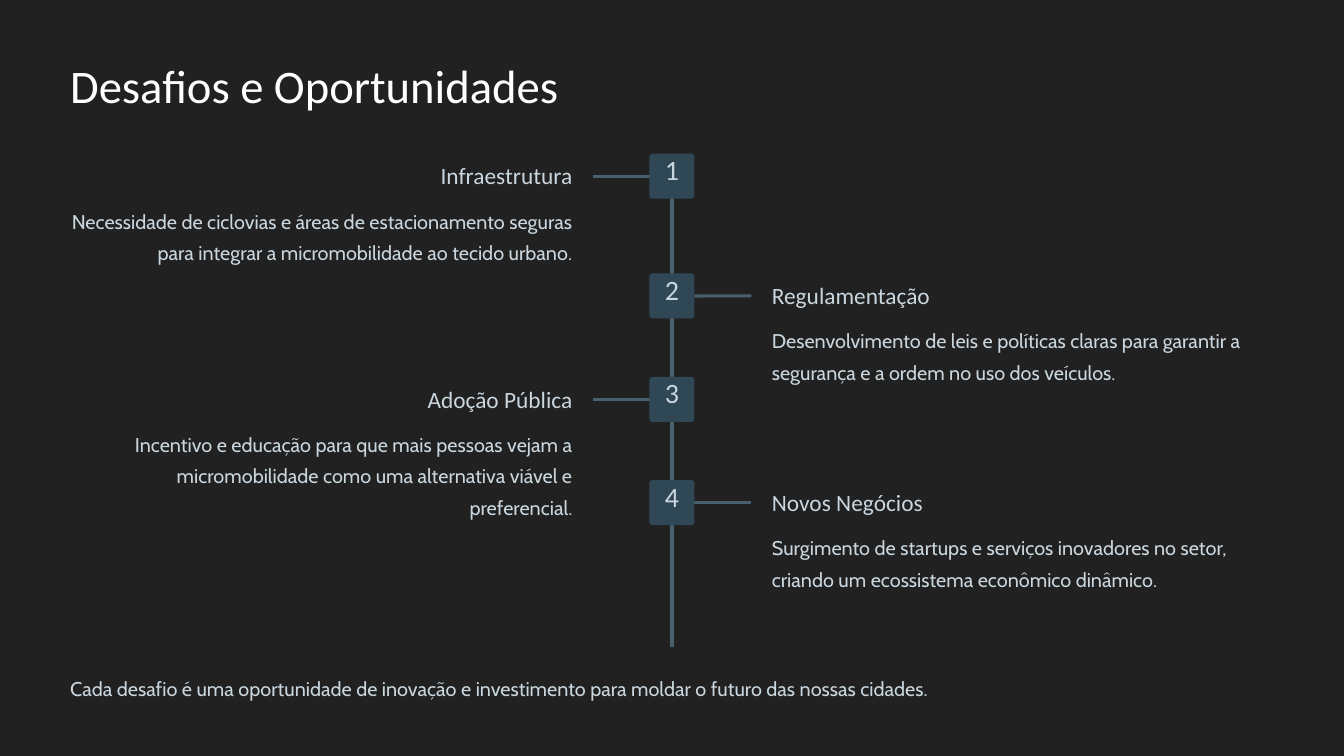
from lxml.etree import SubElement
from pptx import Presentation
from pptx.dml.color import RGBColor
from pptx.enum.shapes import MSO_CONNECTOR, MSO_SHAPE
from pptx.enum.text import MSO_ANCHOR, MSO_AUTO_SIZE, PP_ALIGN
from pptx.oxml.ns import qn
from pptx.util import Cm, Pt

CENTRE = 20.32
TILE = 1.36
BRANCH_REACH = 2.4
SPINE_END = 19.56
MARGIN = 2.12
BODY_WIDTH = 15.19
HEADING_WIDTH = 7.11
RIGHT_TEXT = 23.34

STEPS = [
    (4.65, "Infraestrutura", 1.93,
     "Necessidade de ciclovias e áreas de estacionamento seguras "
     "para integrar a micromobilidade ao tecido urbano."),
    (8.27, "Regulamentação", 1.93,
     "Desenvolvimento de leis e políticas claras para garantir a "
     "segurança e a ordem no uso dos veículos."),
    (11.4, "Adoção Pública", 2.9,
     "Incentivo e educação para que mais pessoas vejam a "
     "micromobilidade como uma alternativa viável e preferencial."),
    (14.52, "Novos Negócios", 1.93,
     "Surgimento de startups e serviços inovadores no setor, "
     "criando um ecossistema econômico dinâmico."),
]


def colour(value):
    """Turn a hex string into a colour."""
    return RGBColor.from_string(value)


def write(frame, text, size=17, font="Cabin", ink="CAD6DE", leading=27,
          align=PP_ALIGN.LEFT, top=0):
    """Fill a text frame with one formatted paragraph."""
    frame.auto_size = MSO_AUTO_SIZE.NONE
    frame.word_wrap = True
    frame.vertical_anchor = MSO_ANCHOR.TOP
    frame.margin_left = frame.margin_right = frame.margin_bottom = 0
    frame.margin_top = Cm(top)
    para = frame.paragraphs[0]
    para.alignment = align
    para.line_spacing = Pt(leading)
    para.space_before = Pt(0)
    span = para.add_run()
    span.text = text
    span.font.size = Pt(size)
    span.font.name = font
    span.font.color.rgb = colour(ink)


class TimelinePage:
    """Hold the timeline style and the current slide."""

    background = "212121"
    line = "49606E"
    tile_fill = "304755"
    heading_font = "Calibri"

    def __init__(self, deck):
        """Add a title-only slide with a dark background."""
        self.page = deck.slides.add_slide(deck.slide_layouts[5])
        fill = self.page.background.fill
        fill.solid()
        fill.fore_color.rgb = colour(self.background)

    def title(self, text):
        """Place and format the title placeholder."""
        box = self.page.shapes.title
        box.left, box.top = Cm(MARGIN), Cm(1.65)
        box.width, box.height = Cm(22.25), Cm(1.78)
        write(box.text_frame, text, size=40, font=self.heading_font,
              ink="FFFFFF", leading=50)

    def text(self, text, left, top, width, height, **style):
        """Add a text box."""
        box = self.page.shapes.add_textbox(
            Cm(left), Cm(top), Cm(width), Cm(height))
        write(box.text_frame, text, **style)

    def tile(self, number, top):
        """Add a numbered tile on the spine."""
        box = self.page.shapes.add_shape(
            MSO_SHAPE.ROUNDED_RECTANGLE,
            Cm(CENTRE - TILE / 2), Cm(top), Cm(TILE), Cm(TILE))
        box.adjustments[0] = 0.067
        box.shadow.inherit = False
        box.fill.solid()
        box.fill.fore_color.rgb = colour(self.tile_fill)
        box.line.fill.background()
        write(box.text_frame, str(number), size=24, font=self.heading_font,
              leading=24, align=PP_ALIGN.CENTER, top=0.11)
        return box

    def connector(self, x1, y1, x2, y2):
        """Add a straight line between two points."""
        link = self.page.shapes.add_connector(
            MSO_CONNECTOR.STRAIGHT, Cm(x1), Cm(y1), Cm(x2), Cm(y2))
        link.line.color.rgb = colour(self.line)
        link.line.width = Pt(2.6)
        SubElement(link._element.spPr, qn("a:effectLst"))
        return link

    def step(self, number, top, heading, height, body):
        """Add a tile with its branch and text, alternating sides."""
        on_left = number % 2 == 1
        direction = -1 if on_left else 1
        middle = top + TILE / 2
        branch = self.connector(CENTRE + direction * TILE / 2, middle,
                                CENTRE + direction * BRANCH_REACH, middle)
        tile = self.tile(number, top)
        branch.begin_connect(tile, 1 if on_left else 3)
        left = MARGIN if on_left else RIGHT_TEXT
        indent = BODY_WIDTH - HEADING_WIDTH if on_left else 0
        align = PP_ALIGN.RIGHT if on_left else PP_ALIGN.LEFT
        self.text(heading, left + indent, top + 0.2, HEADING_WIDTH, 0.89,
                  size=20, font=self.heading_font, leading=25, align=align)
        self.text(body, left, top + 1.45, BODY_WIDTH, height, align=align)
        return tile


def main():
    """Build and save the slide."""
    deck = Presentation()
    deck.slide_width, deck.slide_height = Cm(40.64), Cm(22.86)
    timeline = TimelinePage(deck)
    timeline.title("Desafios e Oportunidades")
    spine = timeline.connector(CENTRE, STEPS[0][0], CENTRE, SPINE_END)
    tiles = [timeline.step(number, *step)
             for number, step in enumerate(STEPS, 1)]
    spine.begin_connect(tiles[0], 0)
    timeline.text(
        "Cada desafio é uma oportunidade de inovação e investimento "
        "para moldar o futuro das nossas cidades.",
        MARGIN, 20.24, 36.42, 0.97)
    deck.save("out.pptx")


if __name__ == "__main__":
    main()
